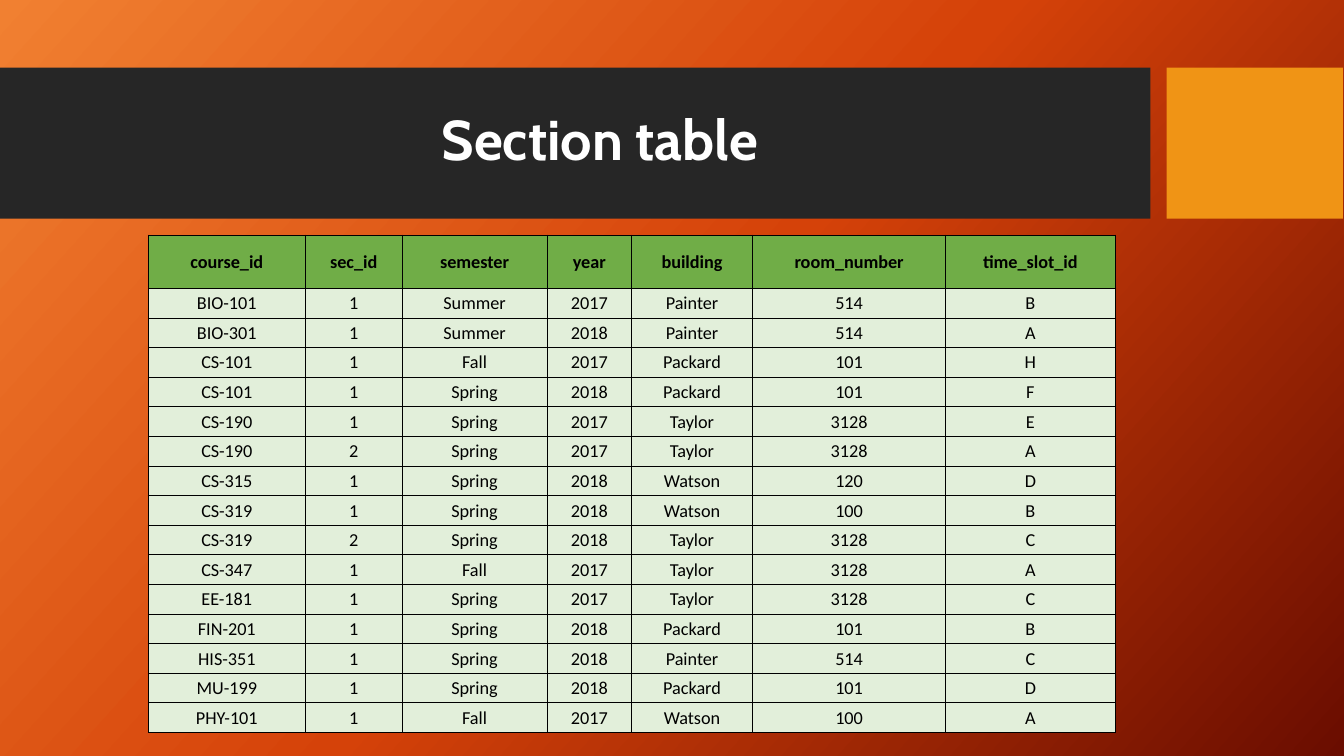
from copy import deepcopy

from lxml import etree
from pptx import Presentation
from pptx.dml.color import RGBColor
from pptx.enum import shapes, text
from pptx.oxml import ns
from pptx.util import Inches, Pt

BACKGROUND_STOPS = [
    (0, RGBColor(0xF1, 0x80, 0x31)),
    (0.5, RGBColor(0xD5, 0x42, 0x09)),
    (1, RGBColor(0x6A, 0x0D, 0x00)),
]
CHARCOAL = RGBColor(0x26, 0x26, 0x26)
AMBER = RGBColor(0xF0, 0x94, 0x15)
GREEN = RGBColor(0x70, 0xAD, 0x47)
PALE_GREEN = RGBColor(0xE2, 0xEF, 0xDA)
BLACK = RGBColor(0, 0, 0)
WHITE = RGBColor(0xFF, 0xFF, 0xFF)

COLUMN_WIDTHS = [1.56, 0.96, 1.44, 0.84, 1.2, 1.92, 1.68]
HEADER_HEIGHT = 0.53
SECTIONS = [
    line.split()
    for line in """
course_id sec_id semester year building room_number time_slot_id
BIO-101 1 Summer 2017 Painter 514 B
BIO-301 1 Summer 2018 Painter 514 A
CS-101 1 Fall 2017 Packard 101 H
CS-101 1 Spring 2018 Packard 101 F
CS-190 1 Spring 2017 Taylor 3128 E
CS-190 2 Spring 2017 Taylor 3128 A
CS-315 1 Spring 2018 Watson 120 D
CS-319 1 Spring 2018 Watson 100 B
CS-319 2 Spring 2018 Taylor 3128 C
CS-347 1 Fall 2017 Taylor 3128 A
EE-181 1 Spring 2017 Taylor 3128 C
FIN-201 1 Spring 2018 Packard 101 B
HIS-351 1 Spring 2018 Painter 514 C
MU-199 1 Spring 2018 Packard 101 D
PHY-101 1 Fall 2017 Watson 100 A
""".strip().splitlines()
]


def paint_background(slide):
    fill = slide.background.fill
    fill.gradient()
    fill.gradient_angle = 360 - 42  # counter-clockwise
    # A new gradient has two stops; add the third
    stop_list = next(slide.element.iter(ns.qn("a:gsLst")))
    stop_list.append(deepcopy(stop_list[0]))
    for stop, (position, color) in zip(fill.gradient_stops, BACKGROUND_STOPS):
        stop.position = position
        stop.color.rgb = color


def add_block(slide, left, top, width, height, color):
    block = slide.shapes.add_shape(
        shapes.MSO_SHAPE.RECTANGLE,
        Inches(left), Inches(top), Inches(width), Inches(height),
    )
    block.shadow.inherit = False
    block.fill.solid()
    block.fill.fore_color.rgb = color
    block.line.fill.background()


def add_title_band(slide, top, height):
    # Dark band and amber end block
    add_block(slide, 0, top, 11.41, height, CHARCOAL)
    add_block(slide, 11.57, top, 1.75, height, AMBER)

    # Title
    title = slide.shapes.add_textbox(
        Inches(0.95), Inches(top + 0.32), Inches(10), Inches(0.77)
    ).text_frame
    title.word_wrap = True
    heading = title.paragraphs[0]
    heading.text = "Section table"
    heading.alignment = text.PP_ALIGN.CENTER
    heading.font.name = "Cabin"
    heading.font.size = Pt(40)
    heading.font.bold = True
    heading.font.color.rgb = WHITE


def add_cell_borders(cell):
    properties = cell._tc.get_or_add_tcPr()
    for index, side in enumerate(("lnL", "lnR", "lnT", "lnB")):
        border = etree.Element(ns.qn(f"a:{side}"), w=str(Pt(0.5)))
        solid = etree.SubElement(border, ns.qn("a:solidFill"))
        etree.SubElement(solid, ns.qn("a:srgbClr"), val=str(BLACK))
        properties.insert(index, border)


def style_cell(cell, value, is_header):
    cell.fill.solid()
    cell.fill.fore_color.rgb = GREEN if is_header else PALE_GREEN
    cell.vertical_anchor = text.MSO_ANCHOR.MIDDLE
    cell.margin_left = cell.margin_right = cell.margin_top = Inches(0.01)
    cell.margin_bottom = 0
    entry = cell.text_frame.paragraphs[0]
    entry.text = value
    entry.alignment = text.PP_ALIGN.CENTER
    entry.font.name = "Calibri"
    entry.font.size = Pt(13)
    entry.font.bold = is_header
    entry.font.color.rgb = BLACK
    add_cell_borders(cell)


def add_section_table(slide, left, top, width, height):
    table = slide.shapes.add_table(
        len(SECTIONS), len(COLUMN_WIDTHS),
        Inches(left), Inches(top), Inches(width), Inches(height),
    ).table
    for column, share in zip(table.columns, COLUMN_WIDTHS):
        column.width = Inches(width * share / sum(COLUMN_WIDTHS))

    # The header is taller; the other rows share the rest equally
    row_height = (height - HEADER_HEIGHT) / (len(SECTIONS) - 1)
    for row_index, values in enumerate(SECTIONS):
        is_header = row_index == 0
        row = table.rows[row_index]
        row.height = Inches(HEADER_HEIGHT if is_header else row_height)
        for cell, value in zip(row.cells, values):
            style_cell(cell, value, is_header)


def main():
    deck = Presentation()
    deck.slide_width = Inches(13.33)
    deck.slide_height = Inches(7.5)
    slide = deck.slides.add_slide(deck.slide_layouts[6])
    paint_background(slide)
    add_title_band(slide, 0.67, 1.5)
    add_section_table(slide, 1.47, 2.33, 9.59, 4.94)
    deck.save("out.pptx")


if __name__ == "__main__":
    main()
